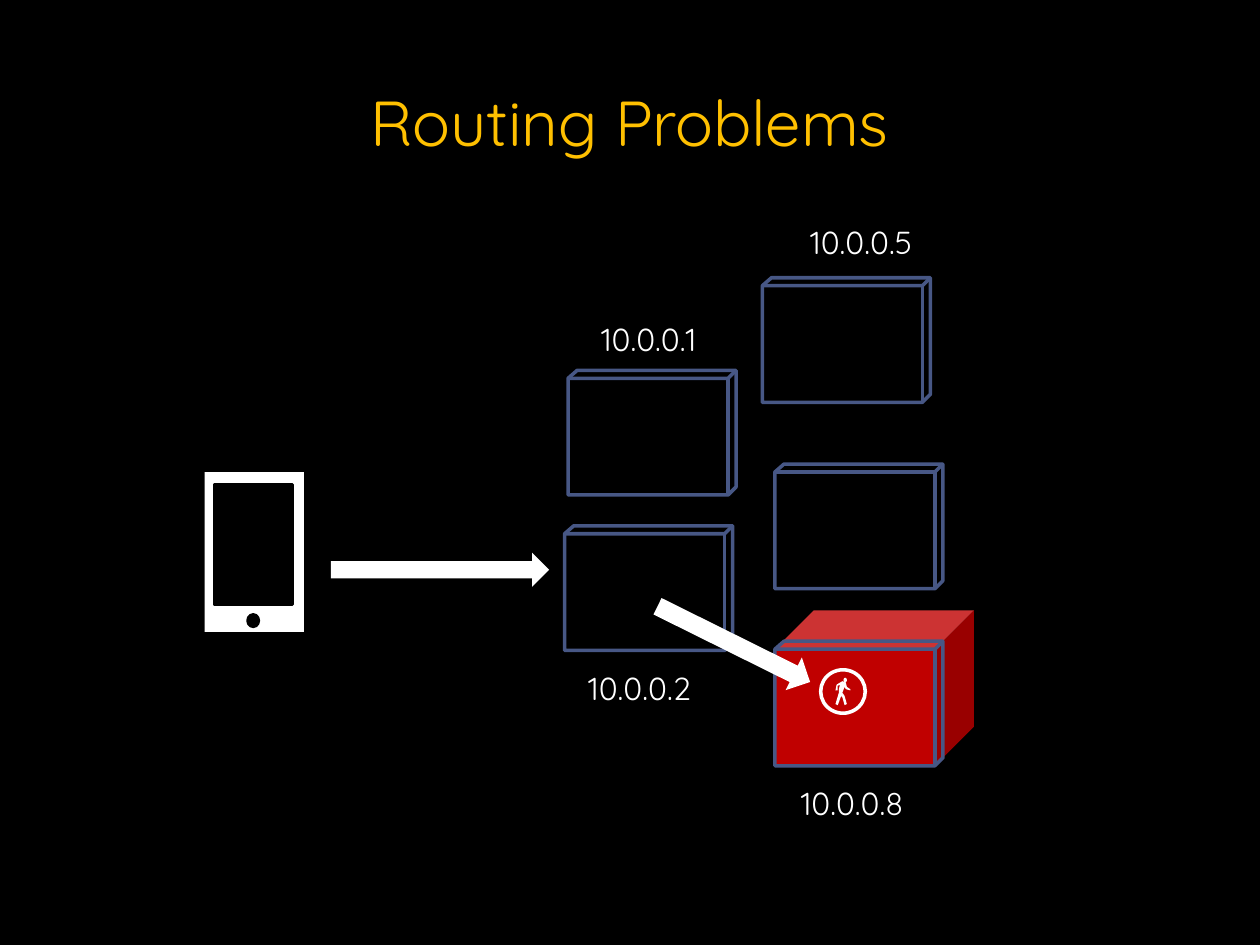
from dataclasses import dataclass

from pptx import Presentation
from pptx.dml.color import RGBColor
from pptx.enum.shapes import MSO_SHAPE
from pptx.enum.text import MSO_ANCHOR, PP_ALIGN
from pptx.util import Cm, Inches, Pt

RECTANGLE, OVAL, DOWN_ARROW = MSO_SHAPE.RECTANGLE, MSO_SHAPE.OVAL, MSO_SHAPE.DOWN_ARROW
TOP, CENTER = MSO_ANCHOR.TOP, PP_ALIGN.CENTER

BLACK = RGBColor(0x00, 0x00, 0x00)
WHITE = RGBColor(0xFF, 0xFF, 0xFF)
GOLD = RGBColor(0xFF, 0xC0, 0x00)
EDGE_BLUE = RGBColor(0x47, 0x57, 0x85)
FRONT_RED = RGBColor(0xC0, 0x00, 0x00)
SIDE_RED = RGBColor(0x99, 0x00, 0x00)
TOP_RED = RGBColor(0xCC, 0x33, 0x33)

FONT = "Quicksand"
TITLE_ONLY = 5
SERVER_WIDTH, SERVER_HEIGHT, SERVER_DEPTH = 1.4, 1.02, 0.34
LABEL_WIDTH, LABEL_HEIGHT = 1.21, 0.44

Point = tuple[float, float]


@dataclass(frozen=True)
class Server:
    left: float
    top: float


@dataclass(frozen=True)
class Label:
    text: str
    left: float
    top: float


@dataclass(frozen=True)
class Preset:
    kind: int
    left: float
    top: float
    width: float
    height: float
    fill: RGBColor | None
    line: RGBColor | None = None
    rotation: float = 0


FAILED_SERVER = Server(6.78, 5.68)
SERVERS = [Server(4.94, 4.67), Server(6.67, 2.5), Server(4.97, 3.31), Server(6.78, 4.13)]
LABELS = [
    Label("10.0.0.1", 5.07, 2.75),
    Label("10.0.0.2", 4.99, 5.8),
    Label("10.0.0.5", 6.93, 1.9),
    Label("10.0.0.8", 6.85, 6.81),
]
PHONE = [
    Preset(RECTANGLE, 1.79, 4.13, 0.87, 1.4, WHITE),
    Preset(RECTANGLE, 1.88, 4.24, 0.68, 1.05, BLACK, BLACK),
    Preset(OVAL, 2.17, 5.38, 0.09, 0.1, BLACK, BLACK),
]
REQUEST_ARROW = Preset(DOWN_ARROW, 3.7, 4.03, 0.3, 1.91, WHITE, rotation=270)
REDIRECT_ARROW = Preset(DOWN_ARROW, 6.26, 4.89, 0.32, 1.49, WHITE, rotation=296.4)
WALKER_SIGN = [
    Preset(OVAL, 7.18, 5.86, 0.39, 0.38, None, WHITE),
    Preset(OVAL, 7.38, 5.93, 0.03, 0.04, WHITE),
]
WALKER_BODY: list[Point] = [
    (7.37, 5.96), (7.32, 5.99), (7.31, 6.04), (7.33, 6.04), (7.33, 6.0), (7.35, 5.99),
    (7.34, 6.03), (7.34, 6.06), (7.31, 6.16), (7.33, 6.17), (7.36, 6.09), (7.37, 6.1),
    (7.39, 6.17), (7.41, 6.16), (7.39, 6.09), (7.37, 6.06), (7.39, 6.01), (7.4, 6.03),
    (7.44, 6.04), (7.44, 6.03), (7.41, 6.01), (7.4, 5.97),
]


def style_shape(shape, fill: RGBColor | None, line: RGBColor | None) -> None:
    shape.shadow.inherit = False
    if fill is None:
        shape.fill.background()
    else:
        shape.fill.solid()
        shape.fill.fore_color.rgb = fill
    if line is None:
        shape.line.fill.background()
    else:
        shape.line.color.rgb = line
        shape.line.width = Pt(2.25)


def add_preset(slide, preset: Preset) -> None:
    shape = slide.shapes.add_shape(
        preset.kind, Inches(preset.left), Inches(preset.top),
        Inches(preset.width), Inches(preset.height),
    )
    shape.rotation = preset.rotation
    style_shape(shape, preset.fill, preset.line)


def add_outline(slide, contours: list[list[Point]], close: bool,
                fill: RGBColor | None, line: RGBColor | None) -> None:
    scaled = [[(Inches(x), Inches(y)) for x, y in contour] for contour in contours]
    builder = slide.shapes.build_freeform(*scaled[0][0])
    for index, (start, *rest) in enumerate(scaled):
        if index:
            builder.move_to(*start)
        builder.add_line_segments(rest, close=close)
    style_shape(builder.convert_to_shape(), fill, line)


def add_server_frame(slide, server: Server) -> None:
    left, top = server.left, server.top
    right, bottom = left + SERVER_WIDTH, top + SERVER_HEIGHT
    back_right, back_top = right + 0.07, top - 0.07
    silhouette = [
        (left, top), (left + 0.08, back_top), (back_right, back_top),
        (back_right, bottom - 0.07), (right, bottom), (left, bottom), (left, top),
    ]
    front_edges = [(left, top), (right, top), (back_right, back_top)]
    corner_edge = [(right, top), (right, bottom)]
    add_outline(slide, [silhouette, front_edges, corner_edge], False, None, EDGE_BLUE)


def add_failed_server(slide, server: Server) -> None:
    left, top = server.left, server.top
    right, bottom = left + SERVER_WIDTH, top + SERVER_HEIGHT
    back_left, back_right = left + SERVER_DEPTH, right + SERVER_DEPTH
    back_top, back_bottom = top - SERVER_DEPTH, bottom - SERVER_DEPTH
    faces = [
        ([(left, top), (right, top), (right, bottom), (left, bottom)], FRONT_RED),
        ([(right, top), (back_right, back_top), (back_right, back_bottom), (right, bottom)],
         SIDE_RED),
        ([(left, top), (back_left, back_top), (back_right, back_top), (right, top)], TOP_RED),
    ]
    for corners, color in faces:
        add_outline(slide, [corners], True, color, None)
    add_server_frame(slide, server)


def write_text(shape, text: str, size: float, color: RGBColor) -> None:
    shape.text_frame.text = text
    shape.text_frame.vertical_anchor = TOP
    paragraph = shape.text_frame.paragraphs[0]
    paragraph.alignment = CENTER
    paragraph.font.name = FONT
    paragraph.font.size = Pt(size)
    paragraph.font.color.rgb = color


def add_label(slide, label: Label) -> None:
    box = slide.shapes.add_textbox(
        Inches(label.left), Inches(label.top), Inches(LABEL_WIDTH), Inches(LABEL_HEIGHT)
    )
    box.text_frame.word_wrap = False
    write_text(box, label.text, 20, WHITE)


def add_title(slide) -> None:
    title = slide.shapes.title
    title.left, title.top = Inches(1.23), Inches(0.73)
    title.width, title.height = Inches(8.56), Inches(0.72)
    title.text_frame.margin_top = 0
    title.text_frame.margin_bottom = Inches(0.05)
    write_text(title, "Routing Problems", 40, GOLD)


def main() -> None:
    presentation = Presentation()
    presentation.slide_width = Cm(28)
    presentation.slide_height = Cm(21)
    slide = presentation.slides.add_slide(presentation.slide_layouts[TITLE_ONLY])
    slide.background.fill.solid()
    slide.background.fill.fore_color.rgb = BLACK

    add_title(slide)
    for preset in [*PHONE, REQUEST_ARROW]:
        add_preset(slide, preset)
    add_failed_server(slide, FAILED_SERVER)
    for preset in WALKER_SIGN:
        add_preset(slide, preset)
    add_outline(slide, [WALKER_BODY], True, WHITE, None)
    for label in LABELS:
        add_label(slide, label)
    for server in SERVERS:
        add_server_frame(slide, server)
    add_preset(slide, REDIRECT_ARROW)
    presentation.save("out.pptx")


if __name__ == "__main__":
    main()
